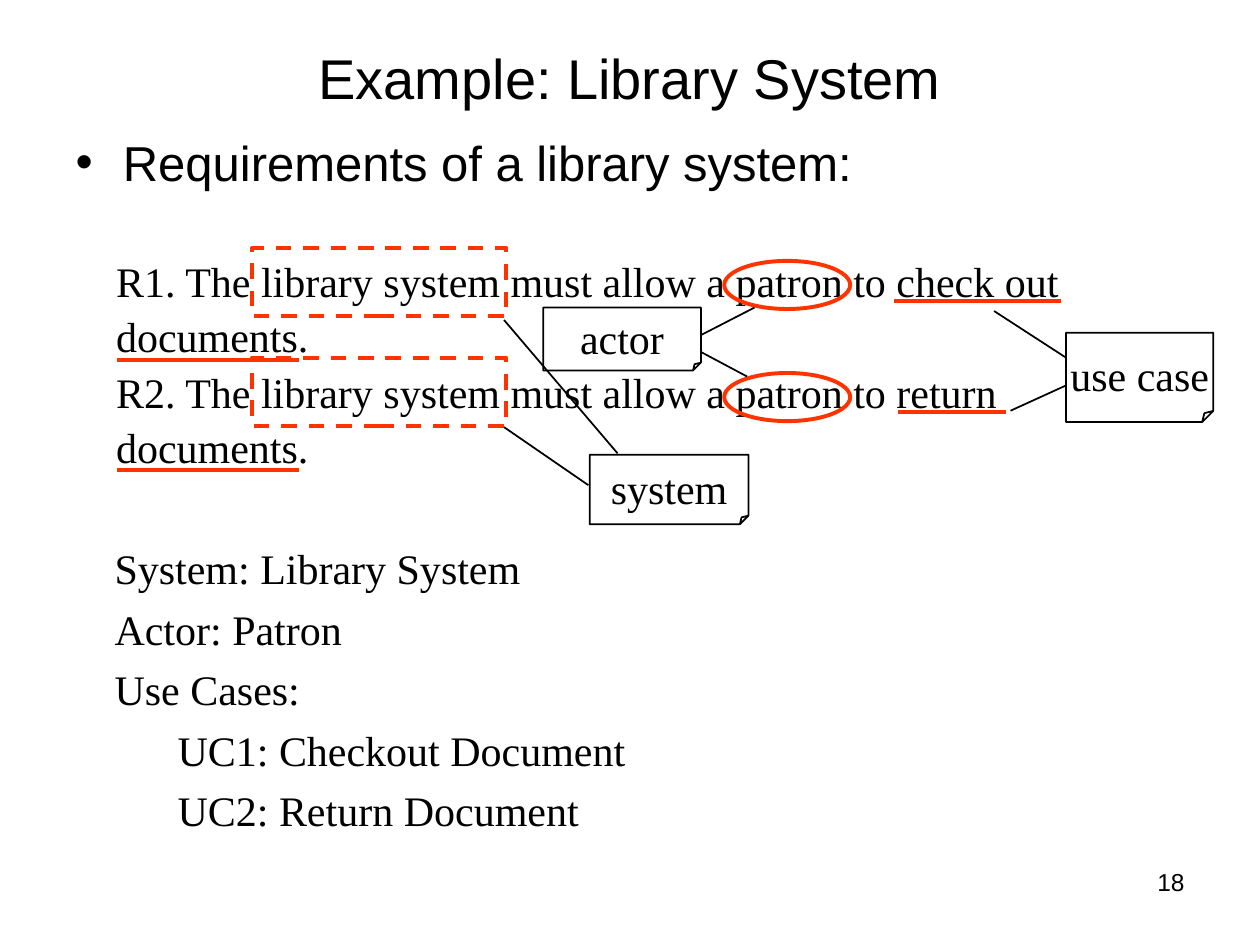
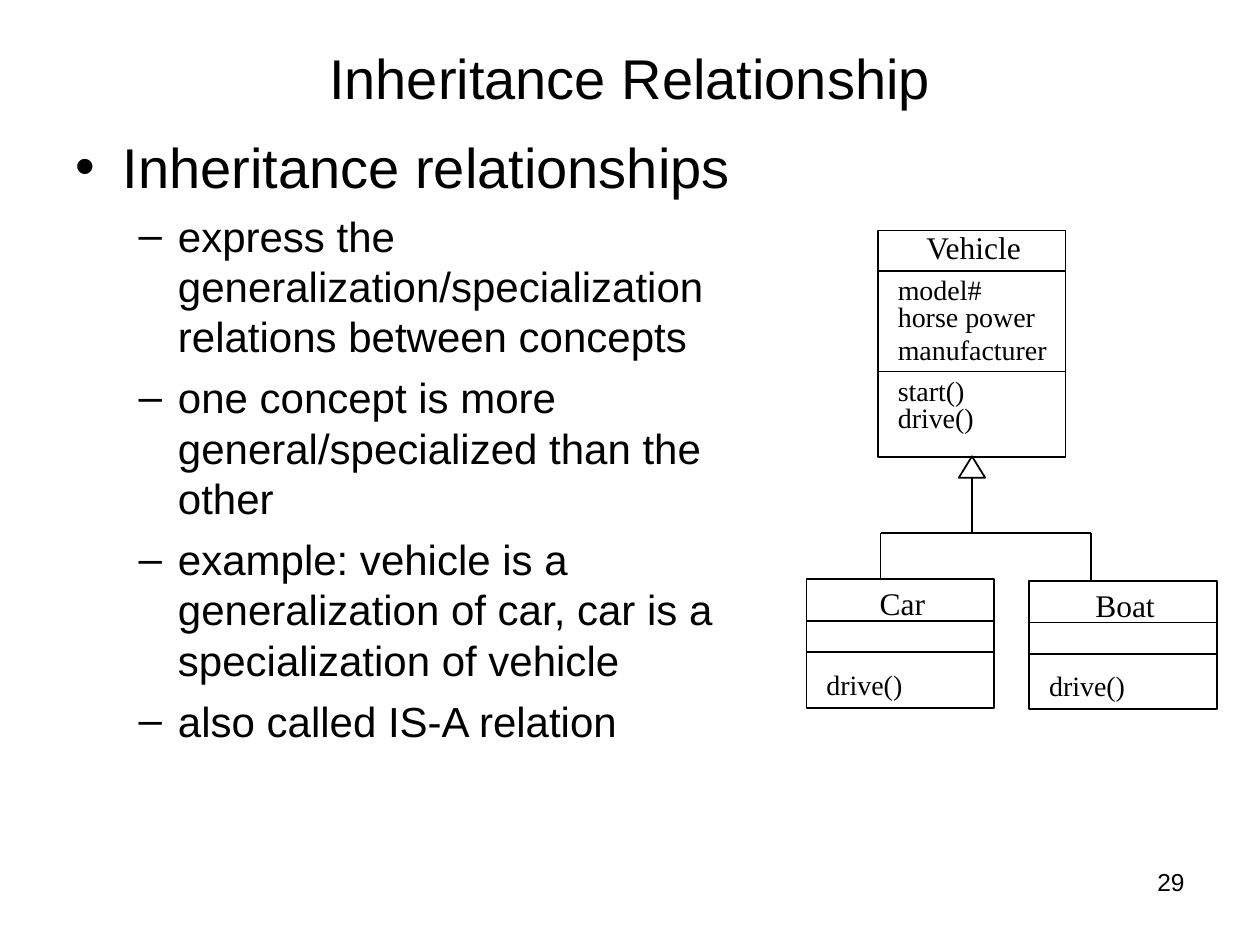
from lxml.etree import SubElement
from pptx import Presentation
from pptx.dml.color import RGBColor
from pptx.enum.dml import MSO_LINE
from pptx.enum.shapes import MSO_CONNECTOR, MSO_SHAPE
from pptx.enum.text import MSO_ANCHOR, MSO_AUTO_SIZE, PP_ALIGN
from pptx.oxml.ns import qn
from pptx.util import Cm, Pt

BLACK = RGBColor(0x00, 0x00, 0x00)
MARK_RED = RGBColor(0xFF, 0x33, 0x00)
SANS, SERIF = "Arial", "Times New Roman"
THIN, THICK = 1, 2.25

# All positions are in centimetres: left, top, width, height
TITLE_BOX = (1.27, 0.76, 22.86, 1.57)
NUMBER_BOX = (18.21, 17.35, 5.92, 1.32)

# Library slide
LIBRARY_BODY_BOX = (1.27, 2.54, 22.86, 1.52)
LIBRARY_BULLETS = [("Requirements of a library system:", 0, 28, 7)]  # text, level, size, space before
REQUIREMENTS_BOX = (2.34, 5.05, 20.42, 4.47)
REQUIREMENTS = [
    "R1. The library system must allow a patron to check out documents.",
    "R2. The library system must allow a patron to return documents.",
]
FINDINGS_BOX = (2.31, 10.74, 20.85, 6.1)
FINDINGS = [  # text, indent
    ("System: Library System", 0),
    ("Actor: Patron", 0),
    ("Use Cases:", 0),
    ("UC1: Checkout Document", 1.27),
    ("UC2: Return Document", 1.27),
]
USE_CASE_UNDERLINES = [  # left, right, y
    (18.03, 21.39, 6.07), (2.36, 6.02, 7.26),
    (18.11, 20.27, 8.31), (2.36, 6.02, 9.47),
]
PATRON_OVALS = [(14.6, top, 2.54, 0.97) for top in (5.26, 7.52)]
SYSTEM_FRAMES = [(5.08, top, 5.13, 1.38) for top in (5.0, 7.21)]
NOTES = [  # label, box, pointers (x1, y1, x2, y2)
    ("use case", (21.49, 6.71, 2.97, 1.8),
     [(21.49, 7.21, 20.04, 6.27), (21.49, 7.77, 20.37, 8.28)]),
    ("actor", (10.95, 6.2, 3.18, 1.27),
     [(14.12, 6.76, 15.21, 6.2), (14.12, 7.09, 15.06, 7.59)]),
    ("system", (11.89, 9.17, 3.2, 1.4),
     [(12.45, 9.14, 10.16, 6.45), (11.86, 9.78, 10.16, 8.61)]),
]

# Inheritance slide
INHERITANCE_BODY_BOX = (1.27, 2.54, 13.87, 15.16)
INHERITANCE_BULLETS = [("Inheritance relationships", 0, 32, 8)] + [
    (text, 1, 24, 6) for text in (
        "express the generalization/specialization relations between concepts",
        "one concept is more general/specialized than the other",
        "example: vehicle is a generalization of car, car is a specialization of vehicle",
        "also called IS-A relation",
    )
]
CLASS_WIDTH = 3.78
VEHICLE_MEMBERS = [  # text, line spacing, space before
    ("model#", 1.2, 0), ("horse power", 0.8, 0), ("manufacturer", 1.0, 0),
    ("start()", 1.2, 0), ("drive()", 0.8, 0),
]
SUBCLASS_MEMBERS = [("drive()", 1.2, 22)]
CLASSES = [  # name, left, top, height, divider offsets, text offset, members
    ("Vehicle", 17.7, 4.65, 4.57, (0.81, 2.84), -0.18, VEHICLE_MEMBERS),
    ("Car", 16.26, 11.68, 2.59, (0.84, 1.47), -0.03, SUBCLASS_MEMBERS),
    ("Boat", 20.75, 11.71, 2.59, (0.84, 1.47), -0.03, SUBCLASS_MEMBERS),
]
ARROW_BOX = (19.33, 9.2, 0.53, 0.43)
TREE_LINES = [
    (19.6, 9.61, 19.6, 10.74),    # stem
    (17.75, 10.74, 22, 10.74),    # bar
    (17.75, 10.74, 17.75, 11.68),  # to Car
    (22, 10.74, 22, 11.71),       # to Boat
]


def place(shape, box):
    shape.left, shape.top, shape.width, shape.height = map(Cm, box)


def style(paragraph, size, font=SERIF, align=None):
    paragraph.font.name = font
    paragraph.font.size = Pt(size)
    paragraph.font.color.rgb = BLACK
    if align is not None:
        paragraph.alignment = align


def fill_paragraphs(frame, texts):
    """Write one paragraph per text and return the paragraphs."""
    frame.text = "\n".join(texts)
    return frame.paragraphs


def set_margins(frame, margin):
    frame.margin_left = frame.margin_right = Cm(margin)
    frame.margin_top = frame.margin_bottom = Cm(margin)


def add_text(slide, box, texts, margin=None):
    frame = slide.shapes.add_textbox(*map(Cm, box)).text_frame
    frame.word_wrap = True
    if margin is not None:
        set_margins(frame, margin)
    return fill_paragraphs(frame, texts)


def add_outline(slide, kind, box, color=BLACK, width=THIN):
    shape = slide.shapes.add_shape(kind, *map(Cm, box))
    shape.shadow.inherit = False
    shape.fill.background()
    shape.line.color.rgb = color
    shape.line.width = Pt(width)
    return shape


def add_line(slide, points, color=BLACK, width=THIN):
    connector = slide.shapes.add_connector(MSO_CONNECTOR.STRAIGHT, *map(Cm, points))
    connector.line.color.rgb = color
    connector.line.width = Pt(width)
    SubElement(connector._element.spPr, qn("a:effectLst"))


def add_note(slide, label, box, pointers):
    note = add_outline(slide, MSO_SHAPE.FOLDED_CORNER, box)
    # Fold an eighth of the shorter side
    geometry = note._element.spPr.find(qn("a:prstGeom"))
    SubElement(geometry.get_or_add_avLst(), qn("a:gd"), name="adj", fmla="val 12500")
    frame = note.text_frame
    set_margins(frame, 0)
    frame.margin_top = Cm(0.1)
    frame.word_wrap = False
    frame.vertical_anchor = MSO_ANCHOR.MIDDLE
    style(fill_paragraphs(frame, [label])[0], 24, align=PP_ALIGN.CENTER)
    for pointer in pointers:
        add_line(slide, pointer)


def add_class(slide, name, left, top, height, dividers, text_offset, members):
    add_outline(slide, MSO_SHAPE.RECTANGLE, (left, top, CLASS_WIDTH, height))
    for offset in dividers:
        add_line(slide, (left, top + offset, left + CLASS_WIDTH, top + offset))
    text_box = (left + 0.15, top + text_offset, CLASS_WIDTH - 0.22, height)
    heading, *rows = add_text(slide, text_box, [name] + [member[0] for member in members])
    style(heading, 18, align=PP_ALIGN.CENTER)
    for paragraph, (_, spacing, before) in zip(rows, members):
        paragraph.line_spacing = spacing
        paragraph.space_before = Pt(before)
        style(paragraph, 16)


def add_base_slide(presentation, title, body_box, bullets, number):
    """Add a slide with title, bullet list and page number."""
    slide = presentation.slides.add_slide(presentation.slide_layouts[1])
    heading, body = slide.shapes.title, slide.placeholders[1]
    place(heading, TITLE_BOX)
    place(body, body_box)
    for shape in (heading, body):
        shape.text_frame.auto_size = MSO_AUTO_SIZE.NONE
    style(fill_paragraphs(heading.text_frame, [title])[0], 32, SANS, PP_ALIGN.CENTER)
    paragraphs = fill_paragraphs(body.text_frame, [bullet[0] for bullet in bullets])
    for paragraph, (_, level, size, before) in zip(paragraphs, bullets):
        paragraph.level = level
        paragraph.space_before = Pt(before)
        style(paragraph, size, SANS)
    style(add_text(slide, NUMBER_BOX, [number])[0], 14, SANS, PP_ALIGN.RIGHT)
    return slide


def build_library_slide(presentation):
    slide = add_base_slide(presentation, "Example: Library System",
                           LIBRARY_BODY_BOX, LIBRARY_BULLETS, "18")
    # Requirements and what is found in them
    for paragraph in add_text(slide, REQUIREMENTS_BOX, REQUIREMENTS, margin=0):
        paragraph.line_spacing = 1.1
        style(paragraph, 24)
    findings = add_text(slide, FINDINGS_BOX, [text for text, _ in FINDINGS], margin=0)
    for paragraph, (_, indent) in zip(findings, FINDINGS):
        paragraph.line_spacing = 1.2
        if indent:
            paragraph._p.get_or_add_pPr().set("marL", str(Cm(indent)))
        style(paragraph, 24)
    # Red marks on the wording
    for left, right, y in USE_CASE_UNDERLINES:
        add_line(slide, (left, y, right, y), MARK_RED, THICK)
    for box in PATRON_OVALS:
        add_outline(slide, MSO_SHAPE.OVAL, box, MARK_RED, THICK)
    for box in SYSTEM_FRAMES:
        frame = add_outline(slide, MSO_SHAPE.RECTANGLE, box, MARK_RED, THICK)
        frame.line.dash_style = MSO_LINE.DASH
    # Notes with pointers
    for note in NOTES:
        add_note(slide, *note)


def build_inheritance_slide(presentation):
    slide = add_base_slide(presentation, "Inheritance Relationship",
                           INHERITANCE_BODY_BOX, INHERITANCE_BULLETS, "29")
    # Class diagram
    for class_details in CLASSES:
        add_class(slide, *class_details)
    add_outline(slide, MSO_SHAPE.ISOSCELES_TRIANGLE, ARROW_BOX)
    for points in TREE_LINES:
        add_line(slide, points)


def main():
    presentation = Presentation()
    presentation.slide_width, presentation.slide_height = Cm(25.4), Cm(19.05)
    build_library_slide(presentation)
    build_inheritance_slide(presentation)
    presentation.save("out.pptx")


if __name__ == "__main__":
    main()
